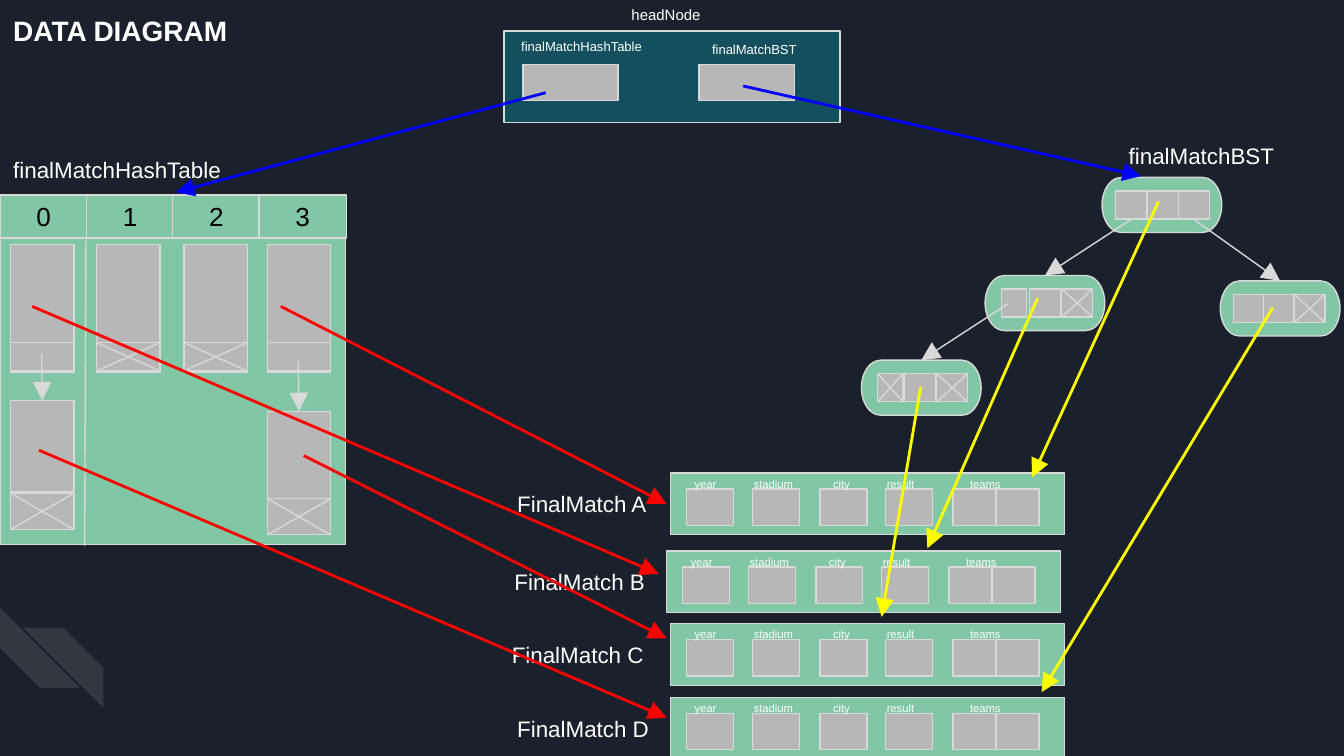
from pptx import Presentation
from pptx.dml.color import RGBColor
from pptx.enum.shapes import MSO_CONNECTOR, MSO_SHAPE
from pptx.enum.text import MSO_ANCHOR, MSO_AUTO_SIZE, PP_ALIGN
from pptx.oxml.ns import qn
from pptx.oxml.xmlchemy import OxmlElement
from pptx.util import Cm, Pt

RECT, PILL = MSO_SHAPE.RECTANGLE, MSO_SHAPE.FLOWCHART_TERMINATOR
STRIPE, LINE = MSO_SHAPE.DIAGONAL_STRIPE, MSO_CONNECTOR.STRAIGHT
TOP, MIDDLE = MSO_ANCHOR.TOP, MSO_ANCHOR.MIDDLE
LEFT, CENTER, FIXED = PP_ALIGN.LEFT, PP_ALIGN.CENTER, MSO_AUTO_SIZE.NONE

NIGHT, TEAL, GREEN, GRAY = "1B212C", "134F5C", "82C7A5", "B7B7B7"
EDGE, WHITE, BLACK = "D9D9D9", "FFFFFF", "000000"
RED, YELLOW, BLUE = "FF0000", "FFFF00", "0000FF"
WIDTH = 25.4
INSET = Cm(0.25)
FRAME = {"word_wrap": True, "auto_size": FIXED, "margin_left": INSET,
         "margin_right": INSET, "margin_top": INSET, "margin_bottom": INSET}
TIP = {"type": "triangle", "w": "lg", "len": "lg"}

STRIPES = [(0, 4.52, 270), (0.17, 4.67, 90)]
NODES = {
    "root": (8.2, 1.32, [(0.1, 0.23), (0.34, 0.23), (0.57, 0.23)], []),
    "left": (7.33, 2.05, [(0.12, 0.19), (0.33, 0.23), (0.57, 0.23)], [2]),
    "right": (9.08, 2.09, [(0.1, 0.23), (0.32, 0.23), (0.55, 0.23)], [2]),
    "leaf": (6.41, 2.68, [(0.12, 0.19), (0.32, 0.23), (0.56, 0.23)], [0, 2]),
}
BRANCHES = [(8.42, 1.63, "left"), (8.88, 1.63, "right"), (7.5, 2.26, "leaf")]
BUCKETS = [("0", 0.08, (2.98, 3.67, 2.63)), ("1", 0.72, None),
           ("2", 1.37, None), ("3", 1.99, (3.06, 3.71, 2.69))]
RECORDS = [("FinalMatch A", 4.99, 3.52, 3.75), ("FinalMatch B", 4.96, 4.1, 3.73),
           ("FinalMatch C", 4.99, 4.64, 3.71), ("FinalMatch D", 4.99, 5.19, 3.75)]
FIELDS = [("year", 0.08, 0.45, [0.12], 0.35), ("stadium", 0.52, 0.56, [0.61], 0.35),
          ("city", 1.11, 0.56, [1.11], 0.35), ("result", 1.51, 0.56, [1.6], 0.35),
          ("teams", 2.13, 0.56, [2.1, 2.42], 0.32)]
LABELS = [("finalMatchBST", 8.3, 0.96, 1.37, 12), ("headNode", 4.6, -0.06, 1.52, 8),
          ("finalMatchBST", 5.2, 0.21, 0.94, 7),
          ("finalMatchHashTable", 3.78, 0.19, 1.26, 7),
          ("finalMatchHashTable", 0, 1.06, 1.83, 12)]
LINKS = {
    RED: [(2.09, 2.28, 4.96, 3.75), (2.26, 3.39, 4.96, 4.75),
          (0.24, 2.28, 4.9, 4.27), (0.29, 3.35, 4.96, 5.34)],
    YELLOW: [(8.62, 1.5, 7.68, 3.55), (7.72, 2.22, 6.9, 4.08),
             (6.85, 2.88, 6.56, 4.59), (9.47, 2.29, 7.75, 5.15)],
    BLUE: [(5.53, 0.64, 8.49, 1.31), (4.06, 0.69, 1.31, 1.43)],
}


def cm(*vals):
    """Turn inch values into Cm lengths."""
    return [Cm(val * 2.54) for val in vals]


def paint(item, tone):
    """Give a fill, a line or a font a solid hex colour."""
    if hasattr(item, "solid"):
        item.solid()
        item.fore_color.rgb = RGBColor.from_string(tone)
    else:
        item.color.rgb = RGBColor.from_string(tone)


def write(shape, text, size, tone=WHITE, bold=False, align=LEFT, anchor=TOP):
    """Put one formatted line of text in a shape."""
    frame = shape.text_frame
    for key, val in {**FRAME, "vertical_anchor": anchor}.items():
        setattr(frame, key, val)
    para = frame.paragraphs[0]
    para.alignment = align
    run = para.add_run()
    run.text = text
    for key, val in {"name": "Arial", "size": Pt(size), "bold": bold}.items():
        setattr(run.font, key, val)
    paint(run.font, tone)


def label(text, x, y, wide, size, high=0.32):
    """Add a white text box."""
    write(shapes.add_textbox(*cm(x, y, wide, high)), text, size)


def block(x, y, wide, high, tone=GRAY, kind=RECT):
    """Add a filled, thinly outlined shape."""
    shape = shapes.add_shape(kind, *cm(x, y, wide, high))
    shape.shadow.inherit = False
    paint(shape.fill, tone)
    paint(shape.line, EDGE)
    shape.line.width = Pt(0.75)
    return shape


def link(x1, y1, x2, y2, tone=EDGE, width=0.75, head=True, goal=None):
    """Draw a line or arrow, joined to the top of its goal if given."""
    line = shapes.add_connector(LINE, *cm(x1, y1, x2, y2))
    if goal is not None:
        line.end_connect(goal, 0)
    paint(line.line, tone)
    line.line.width = Pt(width)
    props = line._element.spPr
    if head:
        tip = OxmlElement("a:tailEnd")
        for key, val in TIP.items():
            tip.set(key, val)
        props.find(qn("a:ln")).append(tip)
    props.append(OxmlElement("a:effectLst"))


def cross(x, y, wide, high):
    """Add an empty-link box with both diagonals."""
    block(x, y, wide, high)
    link(x, y, x + wide, y + high, head=False)
    link(x + wide, y, x, y + high, head=False)


deck = Presentation()
deck.slide_width, deck.slide_height = Cm(WIDTH), Cm(WIDTH * 9 / 16)
slide = deck.slides.add_slide(deck.slide_layouts[5])
shapes = slide.shapes
paint(slide.background.fill, NIGHT)

for x, y, turn in STRIPES:
    stripe = block(x, y, 0.6, 0.6, WHITE, STRIPE)
    stripe.rotation = turn
    stripe.line.fill.background()
    alpha = OxmlElement("a:alpha")
    alpha.set("val", "10000")
    stripe._element.spPr.find(qn("a:solidFill"))[0].append(alpha)

title = shapes.title
title.left, title.top, title.width, title.height = cm(0, 0, 1.99, 0.56)
write(title, "DATA DIAGRAM", 15, bold=True)

pills = {}
for name, (x, y, slots, empty) in NODES.items():
    pills[name] = block(x, y, 0.89, 0.41, GREEN, PILL)
    for num, (dx, wide) in enumerate(slots):
        (cross if num in empty else block)(x + dx, y + 0.1, wide, 0.21)
for x, y, name in BRANCHES:
    link(x, y, x, y, goal=pills[name])

block(0, 1.77, 2.57, 2.28, GREEN)
link(0.64, 1.77, 0.63, 4.06, head=False)
for num, (key, x, chain) in enumerate(BUCKETS):
    cell = block(num * 2.57 / 4, 1.45, 0.65, 0.32, GREEN)
    write(cell, key, 14, BLACK, align=CENTER, anchor=MIDDLE)
    block(x, 1.82, 0.47, 0.95)
    (block if chain else cross)(x, 2.55, 0.47, 0.21)
    if chain:
        top, foot, start = chain
        entry = block(x, top, 0.47, 0.68)
        cross(x, foot, 0.47, 0.27)
        link(x + 0.23, start, x + 0.23, top, goal=entry)

for name, x, y, left in RECORDS:
    block(x, y, 2.93, 0.46, GREEN)
    label(name, left, y + 0.03, 1.33, 12, 0.37)
    for field, dx, wide, boxes, size in FIELDS:
        for box in boxes:
            block(x + box, y + 0.12, size, 0.27)
        label(field, x + dx, y - 0.07, wide, 6)

block(3.75, 0.23, 2.5, 0.68, TEAL)
for x in (3.89, 5.2):
    block(x, 0.48, 0.71, 0.27)
for text, x, y, wide, size in LABELS:
    label(text, x, y, wide, size, 0.21)
for tone, ends in LINKS.items():
    for end in ends:
        link(*end, tone, 1.5)

deck.save("out.pptx")
